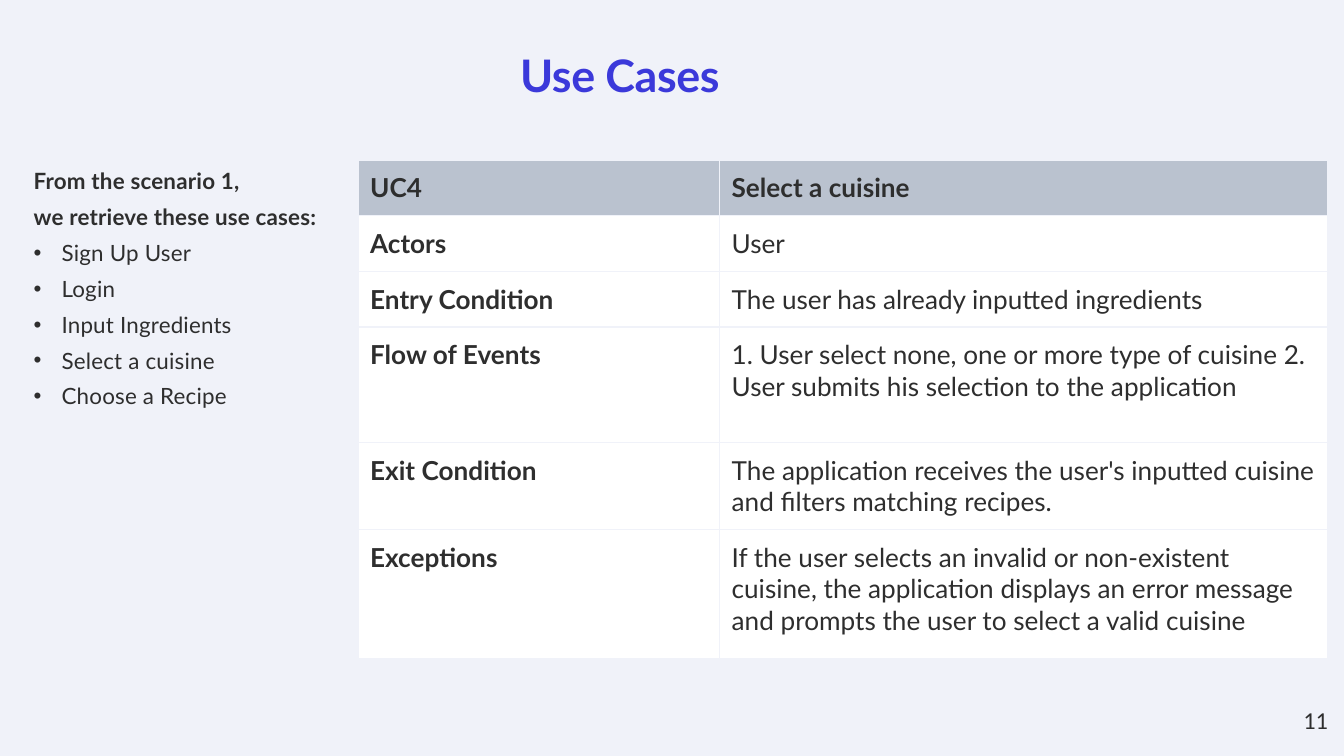
import pptx
import pptx.util
import pptx.dml.color
import pptx.enum.text
import pptx.oxml.ns
from lxml import etree

Pt = pptx.util.Pt

COLORS = {
    "background": "F0F2F9",
    "title": "3B39DA",
    "text": "2E2E2E",
    "header": "BAC2CF",
    "cell": "FFFFFF",
}
INTRO = ["From the scenario 1,", "we retrieve these use cases:"]
USE_CASES = ["Sign Up User", "Login", "Input Ingredients", "Select a cuisine", "Choose a Recipe"]
ROWS = [
    (29.6, "UC4", "Select a cuisine"),
    (29.6, "Actors", "User"),
    (29.6, "Entry Condition", "The user has already inputted ingredients"),
    (62, "Flow of Events", "1. User select none, one or more type of cuisine 2. "
     "User submits his selection to the application"),
    (46.4, "Exit Condition", "The application receives the user's inputted cuisine "
     "and filters matching recipes."),
    (69, "Exceptions", "If the user selects an invalid or non-existent cuisine, the application "
     "displays an error message and prompts the user to select a valid cuisine"),
]
COLUMN_WIDTHS = (193.7, 326)


def rgb(name):
    return pptx.dml.color.RGBColor.from_string(COLORS[name])


def apply(target, values):
    for name, value in values.items():
        setattr(target, name, value)


def add_child(parent, tag, **attributes):
    return etree.SubElement(parent, pptx.oxml.ns.qn(tag), attributes)


def place(box, left, top, width, height):
    apply(box, {"left": Pt(left), "top": Pt(top), "width": Pt(width), "height": Pt(height)})


def format_frame(frame, inset=0, **values):
    sides = ("margin_left", "margin_right", "margin_top", "margin_bottom")
    apply(frame, {side: Pt(inset) for side in sides})
    apply(frame, {"word_wrap": True, "vertical_anchor": pptx.enum.text.MSO_ANCHOR.TOP, **values})


def write(para, text, size, color="text", bold=False, font="Lato", spacing=0):
    span = para.add_run()
    span.text = text
    apply(span.font, {"name": font, "size": Pt(size), "bold": bold})
    span.font.color.rgb = rgb(color)
    if spacing:
        span.font._element.set("spc", str(spacing))


def add_bullet(para):
    properties = para._p.get_or_add_pPr()
    properties.set("marL", str(Pt(15)))
    properties.set("indent", str(Pt(-15)))
    add_child(properties, "a:buFont", typeface="Arial")
    add_child(properties, "a:buChar", char="•")


def add_title(page, text):
    title = page.shapes.title
    place(title, 278.6, 28, 144, 27)
    format_frame(title.text_frame)
    para = title.text_frame.paragraphs[0]
    apply(para, {"alignment": pptx.enum.text.PP_ALIGN.LEFT, "line_spacing": Pt(26.4)})
    write(para, text, 24, "title", True, spacing=-20)


def add_use_case_list(page):
    frame = page.shapes.add_textbox(Pt(18), Pt(85), Pt(170), Pt(134.6)).text_frame
    format_frame(frame)
    for index, text in enumerate(INTRO + USE_CASES):
        para = frame.add_paragraph() if index else frame.paragraphs[0]
        para.line_spacing = Pt(19.2)
        is_intro = index < len(INTRO)
        if not is_intro:
            add_bullet(para)
        write(para, text, 12, bold=is_intro, spacing=10)


def add_borders(cell):
    properties = cell._tc.get_or_add_tcPr()
    for index, side in enumerate(("a:lnL", "a:lnR", "a:lnT", "a:lnB")):
        line = etree.Element(pptx.oxml.ns.qn(side), {"w": str(Pt(0.75))})
        fill = add_child(line, "a:solidFill")
        add_child(fill, "a:srgbClr", val=COLORS["background"])
        properties.insert(index, line)


def add_use_case_table(page):
    height = sum(row[0] for row in ROWS)
    frame = page.shapes.add_table(len(ROWS), len(COLUMN_WIDTHS), Pt(191.8), Pt(85.7),
                                  Pt(sum(COLUMN_WIDTHS)), Pt(height))
    table = frame.table
    for column, width in zip(table.columns, COLUMN_WIDTHS):
        column.width = Pt(width)
    for row_index, (row_height, *texts) in enumerate(ROWS):
        table.rows[row_index].height = Pt(row_height)
        for column_index, text in enumerate(texts):
            cell = table.cell(row_index, column_index)
            sides = ("margin_left", "margin_right", "margin_top", "margin_bottom")
            apply(cell, {side: Pt(6.5) for side in sides})
            cell.fill.solid()
            cell.fill.fore_color.rgb = rgb("cell" if row_index else "header")
            add_borders(cell)
            write(cell.text_frame.paragraphs[0], text, 14,
                  bold=row_index == 0 or column_index == 0)


def add_page_number(page, text):
    frame = page.shapes.add_textbox(Pt(691.2), Pt(374.4), Pt(28.8), Pt(23.8)).text_frame
    format_frame(frame, margin_left=Pt(7.2), margin_top=Pt(3.6))
    write(frame.paragraphs[0], text, 13, font="Calibri")


def main():
    deck = pptx.Presentation()
    apply(deck, {"slide_width": Pt(720), "slide_height": Pt(405)})
    page = deck.slides.add_slide(deck.slide_layouts[5])
    page.background.fill.solid()
    page.background.fill.fore_color.rgb = rgb("background")
    add_title(page, "Use Cases")
    add_use_case_list(page)
    add_use_case_table(page)
    add_page_number(page, "11")
    deck.save("out.pptx")


if __name__ == "__main__":
    main()
